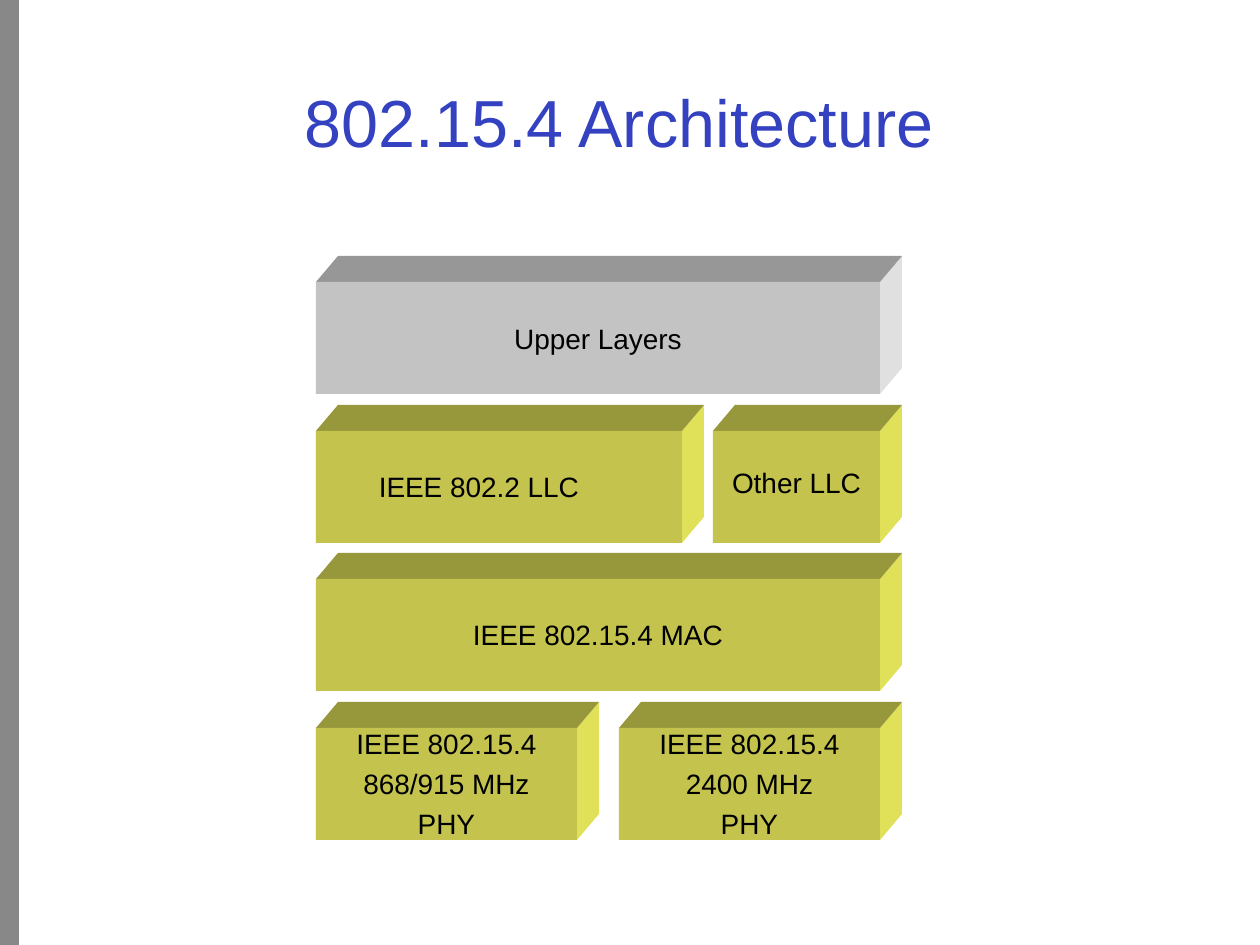
from pptx import Presentation
from pptx import util as u
from pptx.dml.color import RGBColor
from pptx.enum import shapes, text

PX = u.Inches(1) / 126
FONT = "Arial"
BLACK = RGBColor(0x00, 0x00, 0x00)
BLUE = RGBColor(0x34, 0x41, 0xC0)
BAR_GRAY = RGBColor(0x88, 0x88, 0x88)
GRAY = {
    "side": RGBColor(0xE0, 0xE0, 0xE0),
    "top": RGBColor(0x97, 0x97, 0x97),
    "front": RGBColor(0xC3, 0xC3, 0xC3),
}
OLIVE = {
    "side": RGBColor(0xE0, 0xE0, 0x59),
    "top": RGBColor(0x97, 0x97, 0x3C),
    "front": RGBColor(0xC3, 0xC3, 0x4E),
}
DEPTH_X, DEPTH_Y = 22, 26
BLOCK_HEIGHT = 138
LABEL_HEIGHT, LABEL_PITCH = 34, 40
LEFT, RIGHT = 316, 902
ROWS = (256, 405, 553, 702)


def emu(*lengths):
    return [u.Emu(round(length * PX)) for length in lengths]


def paint(shape, color):
    shape.fill.solid()
    shape.fill.fore_color.rgb = color
    shape.line.fill.background()
    shape.shadow.inherit = False


def write(frame, words, size=16, color=BLACK, anchor=text.MSO_ANCHOR.TOP,
          wrap=False, fit=text.MSO_AUTO_SIZE.SHAPE_TO_FIT_TEXT):
    frame.word_wrap = wrap
    frame.auto_size = fit
    frame.vertical_anchor = anchor
    paragraph = frame.paragraphs[0]
    paragraph.text = words
    paragraph.alignment = text.PP_ALIGN.CENTER
    paragraph.font.name = FONT
    paragraph.font.size = u.Pt(size)
    paragraph.font.color.rgb = color


def add_rectangle(parent, box, color):
    paint(parent.add_shape(shapes.MSO_SHAPE.RECTANGLE, *emu(*box)), color)


def add_face(parent, points, color):
    builder = parent.build_freeform(*points[0], scale=PX)
    builder.add_line_segments(points[1:], close=True)
    paint(builder.convert_to_shape(), color)


def add_label(slide, words, width, center_x, center_y):
    box = (center_x - width / 2, center_y - LABEL_HEIGHT / 2, width, LABEL_HEIGHT)
    frame = slide.shapes.add_textbox(*emu(*box)).text_frame
    frame.margin_left = frame.margin_right = 0
    frame.margin_top = frame.margin_bottom = 0
    write(frame, words)


def add_block(slide, box, labels, palette=OLIVE, shift_x=0, shift_y=0):
    left, top, width, height = box
    right, bottom = left + width, top + height
    front_right, front_top = right - DEPTH_X, top + DEPTH_Y
    front_width, front_height = width - DEPTH_X, height - DEPTH_Y
    parts = slide.shapes.add_group_shape().shapes
    add_face(parts, [(front_right, bottom), (front_right, front_top),
                     (right, top), (right, bottom - DEPTH_Y)], palette["side"])
    add_face(parts, [(front_right, front_top), (left, front_top),
                     (left + DEPTH_X, top), (right, top)], palette["top"])
    add_rectangle(parts, (left, front_top, front_width, front_height), palette["front"])
    center_x = left + front_width / 2 + shift_x
    center_y = front_top + front_height / 2 + shift_y
    for index, (words, label_width) in enumerate(labels):
        offset = (index - (len(labels) - 1) / 2) * LABEL_PITCH
        add_label(slide, words, label_width, center_x, center_y + offset)


def add_title(slide, box, words):
    title = slide.shapes.title
    title.left, title.top, title.width, title.height = emu(*box)
    write(title.text_frame, words, size=38, color=BLUE, wrap=True,
          anchor=text.MSO_ANCHOR.MIDDLE, fit=text.MSO_AUTO_SIZE.NONE)


def add_stack(slide):
    upper, link, mac, physical = ROWS
    full = RIGHT - LEFT
    add_block(slide, (LEFT, mac, full, BLOCK_HEIGHT), [("IEEE 802.15.4 MAC", 252)])
    add_block(slide, (LEFT, upper, full, BLOCK_HEIGHT), [("Upper Layers", 170)],
              palette=GRAY, shift_y=1)
    add_block(slide, (LEFT, link, 388, BLOCK_HEIGHT), [("IEEE 802.2 LLC", 203)], shift_x=-20)
    add_block(slide, (RIGHT - 189, link, 189, BLOCK_HEIGHT), [("Other LLC", 131)], shift_y=-4)
    radio_width = 283
    radios = ((RIGHT - radio_width, "2400 MHz", 130), (LEFT, "868/915 MHz", 169))
    for left, band, band_width in radios:
        add_block(slide, (left, physical, radio_width, BLOCK_HEIGHT),
                  [("IEEE 802.15.4", 183), (band, band_width), ("PHY", 60)])


def main():
    presentation = Presentation()
    presentation.slide_width, presentation.slide_height = emu(1260, 945)
    slide = presentation.slides.add_slide(presentation.slide_layouts[5])
    add_rectangle(slide.shapes, (0, 0, 19, 945), BAR_GRAY)
    add_stack(slide)
    add_title(slide, (84, 42, 1071, 158), "802.15.4 Architecture")
    presentation.save("out.pptx")


if __name__ == "__main__":
    main()
